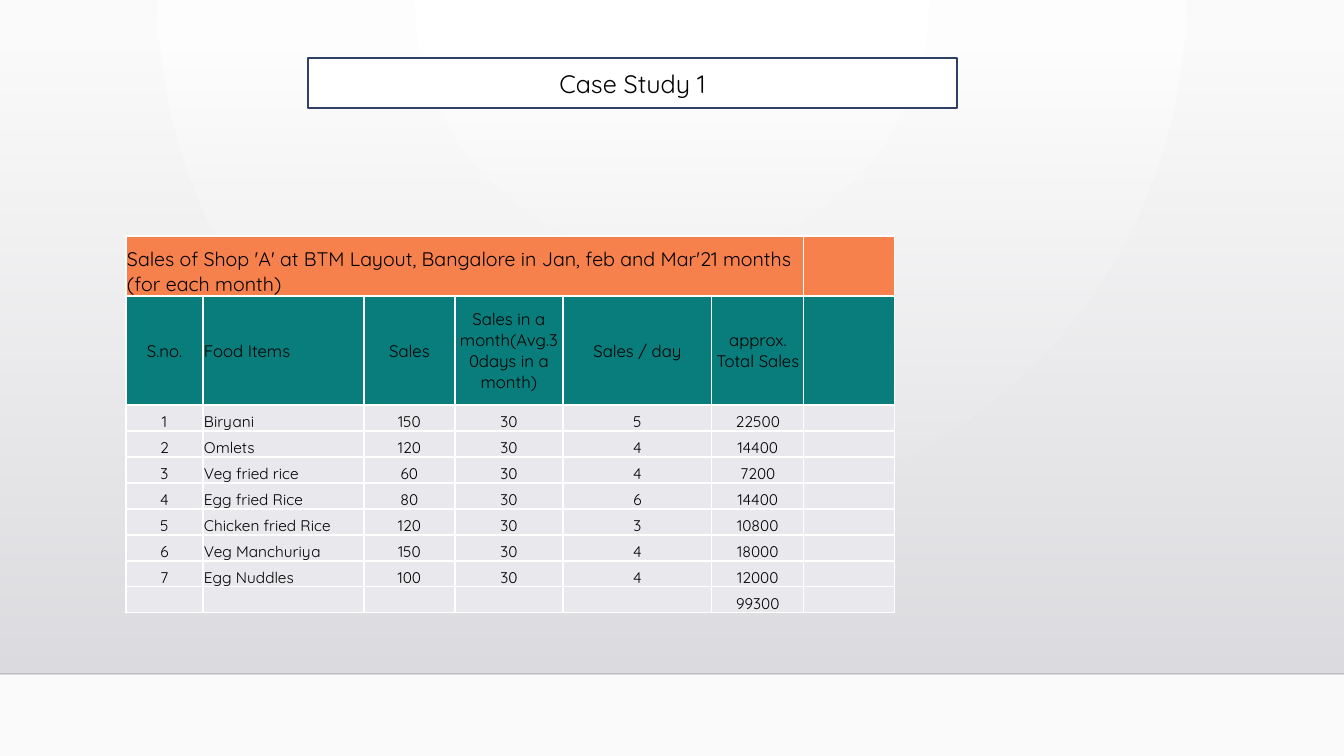
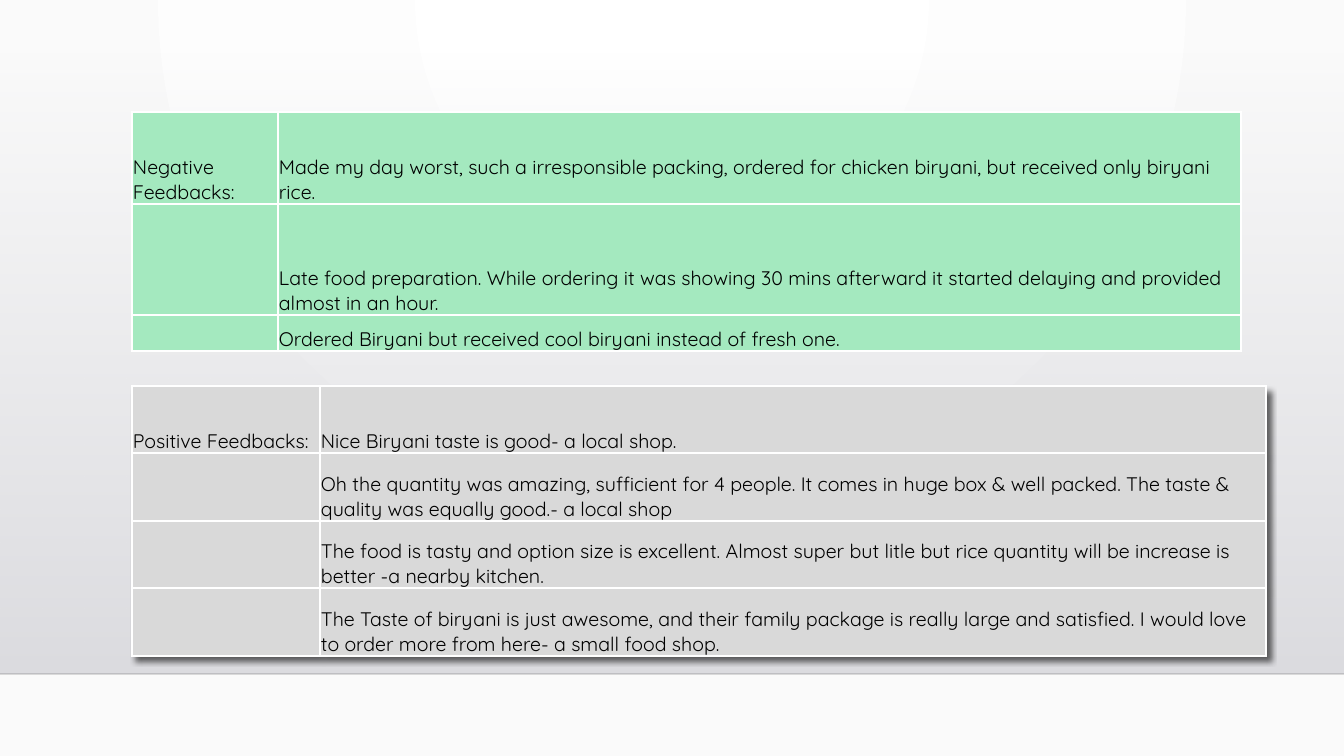
from lxml.etree import SubElement
from pptx import Presentation
from pptx.dml.color import RGBColor
from pptx.enum.shapes import MSO_CONNECTOR as Connector, MSO_SHAPE as Shape
from pptx.enum.text import MSO_ANCHOR as Anchor, PP_ALIGN as Align
from pptx.oxml import parse_xml
from pptx.oxml.ns import nsdecls, qn
from pptx.util import Pt

PX = 914400 / 100.8
PAGE_W, PAGE_H = 1344, 756
FONT = "Quicksand"

BLACK = RGBColor(0x00, 0x00, 0x00)
WHITE = RGBColor(0xFF, 0xFF, 0xFF)
OFF_WHITE = RGBColor(0xFA, 0xFA, 0xFA)
BAND_TOP = RGBColor(0xDC, 0xDC, 0xE0)
BAND_BOTTOM = RGBColor(0xDE, 0xDE, 0xE2)
HORIZON = RGBColor(0x00, 0x00, 0x01)
NAVY = RGBColor(0x30, 0x3F, 0x65)
ORANGE = RGBColor(0xF6, 0x81, 0x4D)
TEAL = RGBColor(0x08, 0x7D, 0x7C)
PALE = RGBColor(0xE9, 0xE9, 0xED)
GREEN = RGBColor(0xA4, 0xE9, 0xBF)
GREY = RGBColor(0xD9, 0xD9, 0xD9)

BAND = (0, 51, PAGE_W, 623)
TITLE_BOX = (308, 58, 649, 50)

TITLE = "Case Study 1"
SALES_CAPTION = "Sales of Shop 'A' at BTM Layout, Bangalore in Jan, feb and Mar'21 months (for each month)"
SALES_HEADS = ("S.no.", "Food Items", "Sales", "Sales in a month(Avg.30days in a month)",
               "Sales / day", "approx. Total Sales", "")
SALES_ITEMS = [
    ("1", "Biryani", "150", "30", "5", "22500", ""),
    ("2", "Omlets", "120", "30", "4", "14400", ""),
    ("3", "Veg fried rice", "60", "30", "4", "7200", ""),
    ("4", "Egg fried Rice", "80", "30", "6", "14400", ""),
    ("5", "Chicken fried Rice", "120", "30", "3", "10800", ""),
    ("6", "Veg Manchuriya", "150", "30", "4", "18000", ""),
    ("7", "Egg Nuddles", "100", "30", "4", "12000", ""),
    ("", "", "", "", "", "99300", ""),
]
SALES_COLS = (77, 161, 91, 108, 149, 92, 91)
SALES_ALIGN = (Align.CENTER, Align.LEFT) + (Align.CENTER,) * 5

FEEDBACKS = [
    dict(at=(132, 112), cols=(146, 963), heights=(92, 111, 36), fill=GREEN, shadow=False,
         label="Negative Feedbacks:", comments=(
             "Made my day worst, such a irresponsible packing, ordered for chicken biryani, but received only biryani rice.",
             "Late food preparation. While ordering it was showing 30 mins afterward it started delaying and provided almost in an hour.",
             "Ordered Biryani but received cool biryani instead of fresh one.")),
    dict(at=(132, 386), cols=(188, 946), heights=(67, 68, 67, 68), fill=GREY, shadow=True,
         label="Positive Feedbacks:", comments=(
             "Nice Biryani taste is good- a local shop.",
             "Oh the quantity was amazing, sufficient for 4 people. It comes in huge box & well packed. The taste & quality was equally good.- a local shop",
             "The food is tasty and option size is excellent. Almost super but litle but rice quantity will be increase is better -a nearby kitchen.",
             "The Taste of biryani is just awesome, and their family package is really large and satisfied. I would love to order more from here- a small food shop.")),
]


def emu(*lengths):
    return [round(length * PX) for length in lengths]


def write(frame, text, size=14, align=Align.LEFT):
    para = frame.paragraphs[0]
    para.alignment = align
    if not text:
        SubElement(para._p, qn("a:endParaRPr"), sz=str(size * 100))
        return
    span = para.add_run()
    span.text = text
    span.font.name = FONT
    span.font.size = Pt(size)
    span.font.color.rgb = BLACK


def set_gradient(fill, first, last):
    fill.gradient()
    for stop, color in zip(fill.gradient_stops, (first, last)):
        stop.color.rgb = color


def set_alpha(element, percent):
    color = next(element.iter(qn("a:srgbClr")))
    SubElement(color, qn("a:alpha"), val=str(percent * 1000))


def set_background(master):
    set_gradient(master.background.fill, WHITE, OFF_WHITE)
    gradient = next(master.element.iter(qn("a:gradFill")))
    gradient.remove(gradient.find(qn("a:lin")))
    glow = SubElement(gradient, qn("a:path"), path="circle")
    SubElement(glow, qn("a:fillToRect"), l="43000", t="0", r="43000", b="100000")


def add_page(deck):
    page = deck.slides.add_slide(deck.slide_layouts[6])
    band = page.shapes.add_shape(Shape.RECTANGLE, *emu(*BAND))
    band.shadow.inherit = False
    band.line.fill.background()
    set_gradient(band.fill, BAND_TOP, BAND_BOTTOM)
    band.fill.gradient_angle = 270
    set_alpha(band._element.spPr, 0)

    bottom = BAND[1] + BAND[3]
    horizon = page.shapes.add_connector(Connector.STRAIGHT, *emu(0, bottom, PAGE_W, bottom))
    horizon.line.color.rgb = HORIZON
    horizon.line.width = Pt(1)
    set_alpha(horizon._element.spPr, 20)
    SubElement(horizon._element.spPr, qn("a:effectLst"))
    return page


def add_title(page, text):
    box = page.shapes.add_shape(Shape.RECTANGLE, *emu(*TITLE_BOX))
    box.shadow.inherit = False
    box.fill.solid()
    box.fill.fore_color.rgb = WHITE
    box.line.color.rgb = NAVY
    box.line.width = Pt(1.25)
    box.text_frame.vertical_anchor = Anchor.MIDDLE
    write(box.text_frame, text, size=18, align=Align.CENTER)


def style_cell(cell, fill, anchor):
    cell.margin_left = cell.margin_right = cell.margin_top = emu(1)[0]
    cell.margin_bottom = 0
    cell.vertical_anchor = anchor
    cell.fill.solid()
    cell.fill.fore_color.rgb = fill
    props = cell._tc.get_or_add_tcPr()
    for index, side in enumerate("LRTB"):
        props.insert(index, parse_xml(
            f'<a:ln{side} {nsdecls("a")} w="12700"><a:solidFill>'
            f'<a:srgbClr val="{WHITE}"/></a:solidFill></a:ln{side}>'))


def add_grid(page, at, cols, rows, aligns):
    heights = [row["height"] for row in rows]
    frame = page.shapes.add_table(len(rows), len(cols), *emu(*at, sum(cols), sum(heights)))
    table = frame.table
    table.first_row = table.horz_banding = False
    for column, width in zip(table.columns, emu(*cols)):
        column.width = width
    for r, row in enumerate(rows):
        table.rows[r].height = emu(row["height"])[0]
        for c, text in enumerate(row["texts"]):
            cell = table.cell(r, c)
            style_cell(cell, row["fill"], row.get("anchor", Anchor.BOTTOM))
            align = row.get("align", aligns[c])
            write(cell.text_frame, text, size=row["size"], align=align)
    return table


def add_shadow(table):
    table._tbl.tblPr.insert(0, parse_xml(
        f'<a:effectLst {nsdecls("a")}><a:outerShdw blurRad="50800" dist="50800" dir="2700000" '
        f'algn="tl"><a:srgbClr val="{BLACK}"><a:alpha val="60000"/></a:srgbClr>'
        '</a:outerShdw></a:effectLst>'))


def build_sales(page):
    caption = (SALES_CAPTION,) + ("",) * (len(SALES_COLS) - 1)
    rows = [
        dict(texts=caption, height=60, fill=ORANGE, size=14, align=Align.LEFT),
        dict(texts=SALES_HEADS, height=109, fill=TEAL, size=12, anchor=Anchor.MIDDLE),
    ]
    rows += [dict(texts=item, height=26, fill=PALE, size=11) for item in SALES_ITEMS]
    table = add_grid(page, (126, 236), SALES_COLS, rows, SALES_ALIGN)
    table.cell(0, 0).merge(table.cell(0, 5))
    add_title(page, TITLE)


def build_feedback(page):
    for group in FEEDBACKS:
        labels = [group["label"]] + [""] * (len(group["comments"]) - 1)
        rows = [dict(texts=(label, comment), height=height, fill=group["fill"], size=14)
                for label, comment, height in zip(labels, group["comments"], group["heights"])]
        table = add_grid(page, group["at"], group["cols"], rows, (Align.LEFT,) * 2)
        if group["shadow"]:
            add_shadow(table)


def main():
    deck = Presentation()
    deck.slide_width, deck.slide_height = emu(PAGE_W, PAGE_H)
    set_background(deck.slide_master)
    for build in (build_sales, build_feedback):
        build(add_page(deck))
    deck.save("out.pptx")


if __name__ == "__main__":
    main()
